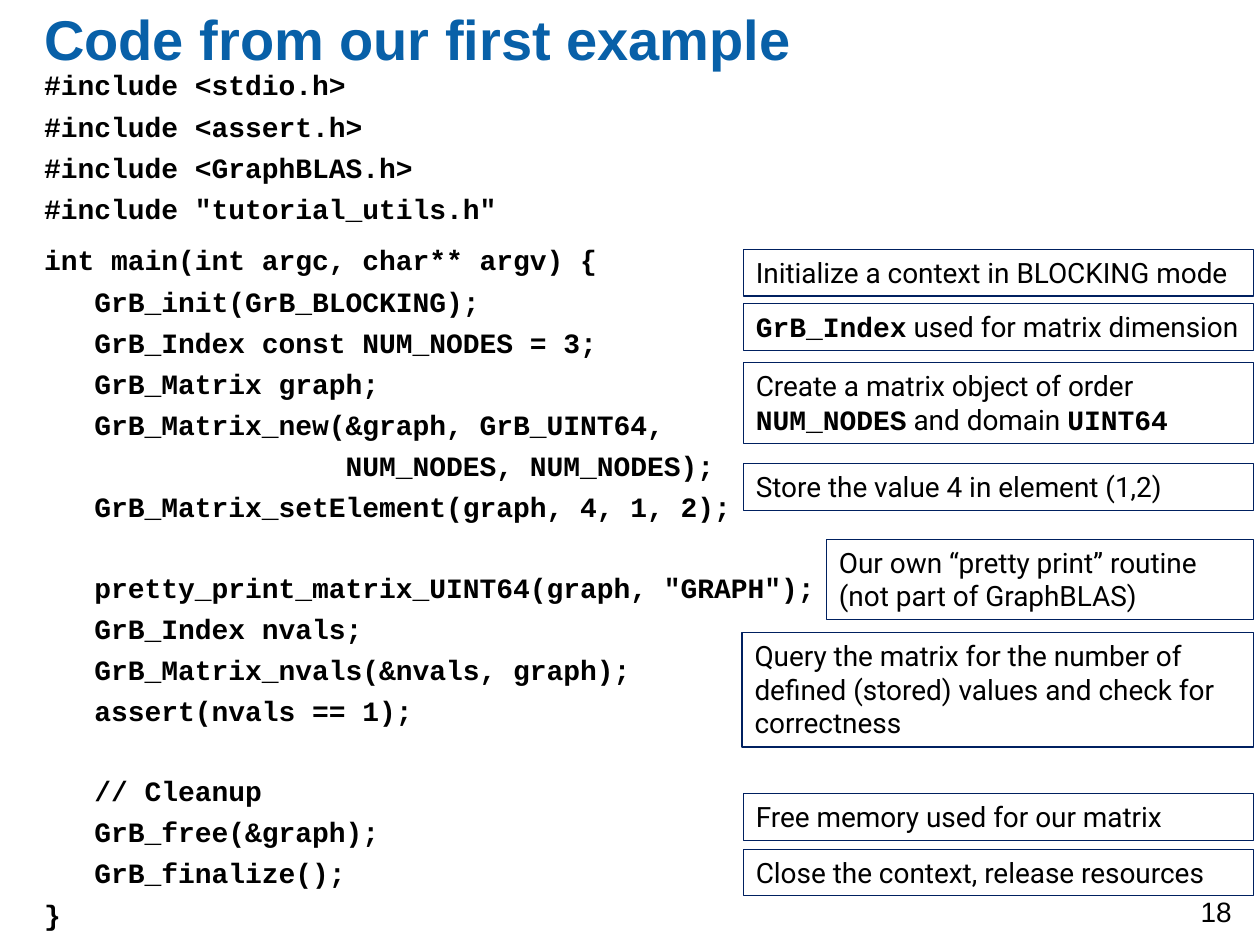
from pptx import Presentation, util as u
from pptx.dml.color import RGBColor
from pptx.enum import shapes, text

HEX = {"title": "0860A8", "ink": "000000", "edge": "002060"}
SANS, MONO, NOTE = "Arial", "Courier New", "Roboto"
WIDE, HIGH = 10, 7.5
SIZE, LEFT, RIGHT = 16, 0.35, 9.95
COL = 5.9
PAD, ROW = 0.05, 0.27
GAP, PITCH = 4.3, 22.4

TITLE = "Code from our first example"
PAGE = "18"
HEAD = [
    "#include <stdio.h>",
    "#include <assert.h>",
    "#include <GraphBLAS.h>",
    '#include "tutorial_utils.h"',
]
BODY = [
    "int main(int argc, char** argv) {",
    "   GrB_init(GrB_BLOCKING);",
    "   GrB_Index const NUM_NODES = 3;",
    "   GrB_Matrix graph;",
    "   GrB_Matrix_new(&graph, GrB_UINT64,",
    "                  NUM_NODES, NUM_NODES);",
    "   GrB_Matrix_setElement(graph, 4, 1, 2);",
    "",
    '   pretty_print_matrix_UINT64(graph, "GRAPH");',
    "   GrB_Index nvals;",
    "   GrB_Matrix_nvals(&nvals, graph);",
    "   assert(nvals == 1);",
    "",
    "   // Cleanup",
    "   GrB_free(&graph);",
    "   GrB_finalize();",
    "}",
]
NOTES = [
    (COL, 1.98, 1, [("Initialize a context in BLOCKING mode", NOTE)]),
    (COL, 2.41, 1, [("GrB_Index", MONO), (" used for matrix dimension", NOTE)]),
    (COL, 2.88, 2, [("Create a matrix object of order ", NOTE), ("NUM_NODES", MONO),
                    (" and domain ", NOTE), ("UINT64", MONO)]),
    (COL, 3.68, 1, [("Store the value 4 in element (1,2)", NOTE)]),
    (6.56, 4.28, 2, [("Our own “pretty print” routine (not part of GraphBLAS)", NOTE)]),
    (5.89, 5.02, 3, [("Query the matrix for the number of defined (stored) values "
                      "and check for correctness", NOTE)]),
    (COL, 6.3, 1, [("Free memory used for our matrix", NOTE)]),
    (COL, 6.74, 1, [("Close the context, release resources", NOTE)]),
]


def tint(name):
    return RGBColor.from_string(HEX[name])


def add_run(para, words, face, size=SIZE, bold=False, color="ink"):
    run = para.add_run()
    run.text = words
    run.font.name, run.font.size, run.font.bold = face, u.Pt(size), bold
    run.font.color.rgb = tint(color)


def set_frame(shape, side=0, edge=0, anchor=text.MSO_ANCHOR.TOP):
    frame = shape.text_frame
    frame.word_wrap = True
    frame.margin_left = frame.margin_right = u.Inches(side)
    frame.margin_top = frame.margin_bottom = u.Inches(edge)
    frame.vertical_anchor = anchor
    return frame


def add_text(slide, *area):
    return slide.shapes.add_textbox(*map(u.Inches, area))


def add_code(slide):
    frame = set_frame(add_text(slide, LEFT, 0.54, 6.36, 6.84))
    space = 0
    for num, line in enumerate(HEAD + BODY):
        if not line:
            space += PITCH
            continue
        para = frame.add_paragraph() if num else frame.paragraphs[0]
        para.space_before = u.Pt(space)
        if num == len(HEAD) - 1:
            para.space_after = u.Pt(6)
        add_run(para, line, MONO, bold=True)
        space = GAP


def add_note(slide, left, top, rows, parts):
    area = (left, top, RIGHT - left, rows * ROW + 2 * PAD)
    box = slide.shapes.add_shape(shapes.MSO_SHAPE.RECTANGLE, *map(u.Inches, area))
    box.shadow.inherit = False
    box.fill.background()
    box.line.color.rgb = tint("edge")
    box.line.width = u.Pt(0.75)
    para = set_frame(box, 2 * PAD, PAD).paragraphs[0]
    para.alignment = text.PP_ALIGN.LEFT
    for words, face in parts:
        add_run(para, words, face, bold=face == MONO)


def main():
    deck = Presentation()
    deck.slide_width, deck.slide_height = u.Inches(WIDE), u.Inches(HIGH)
    slide = deck.slides.add_slide(deck.slide_layouts[6])
    add_code(slide)
    head = set_frame(add_text(slide, LEFT, 0, 9.01, 0.6), anchor=text.MSO_ANCHOR.MIDDLE)
    add_run(head.paragraphs[0], TITLE, SANS, 32, True, "title")
    foot = set_frame(add_text(slide, 9.43, 7.05, 0.51, 0.33), 2 * PAD, PAD)
    add_run(foot.paragraphs[0], PAGE, SANS)
    for note in NOTES:
        add_note(slide, *note)
    deck.save("out.pptx")


if __name__ == "__main__":
    main()
